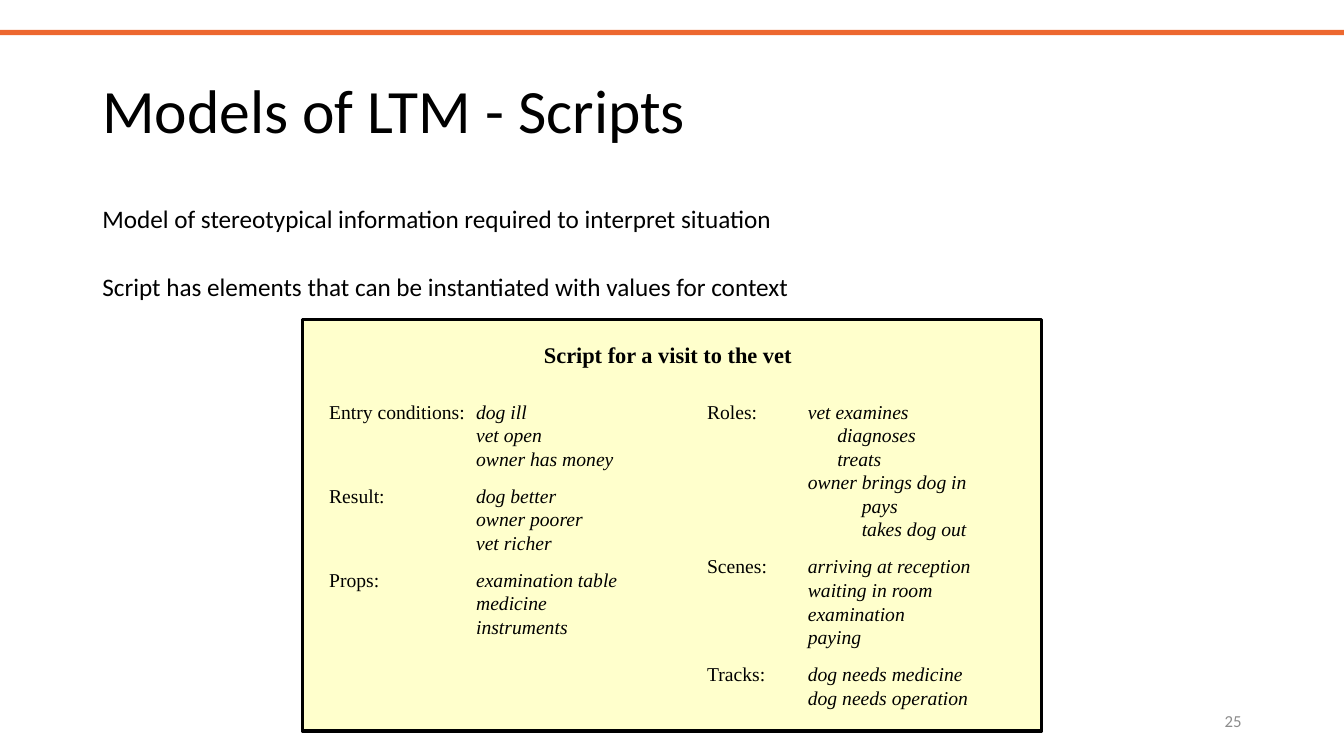
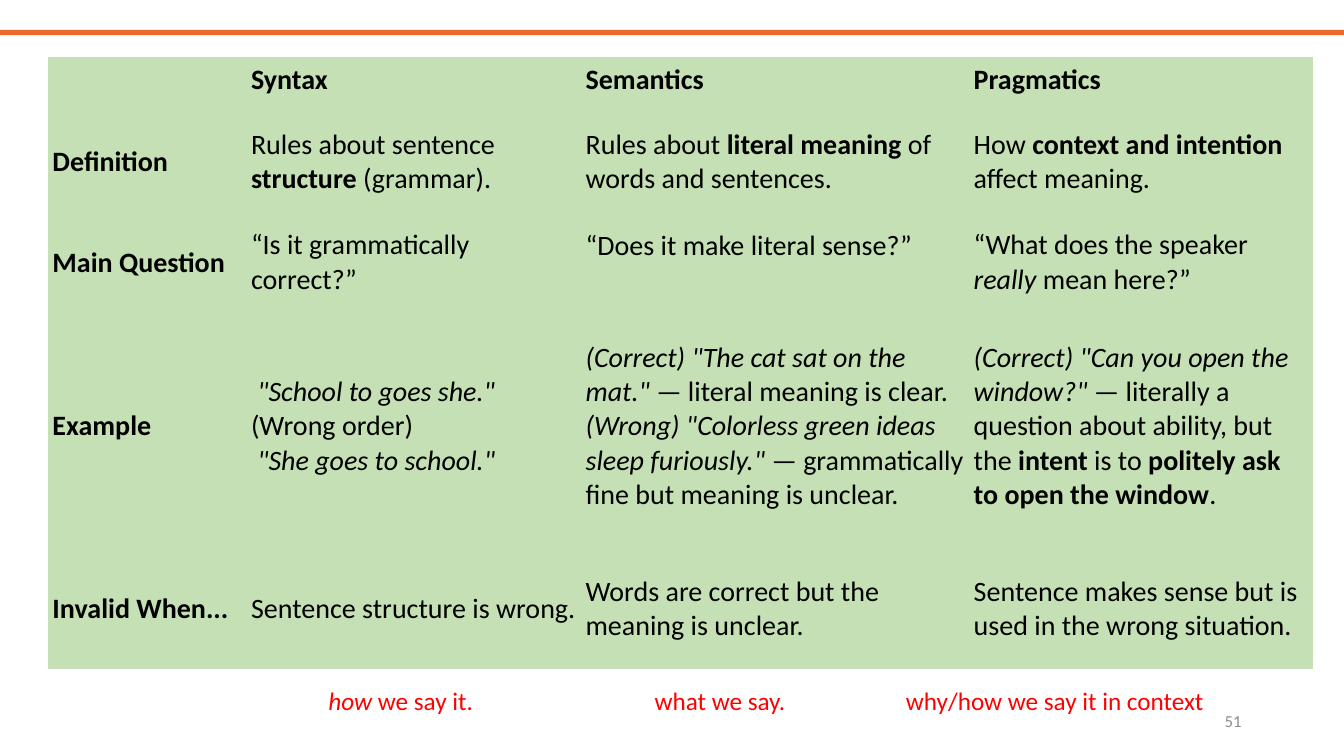
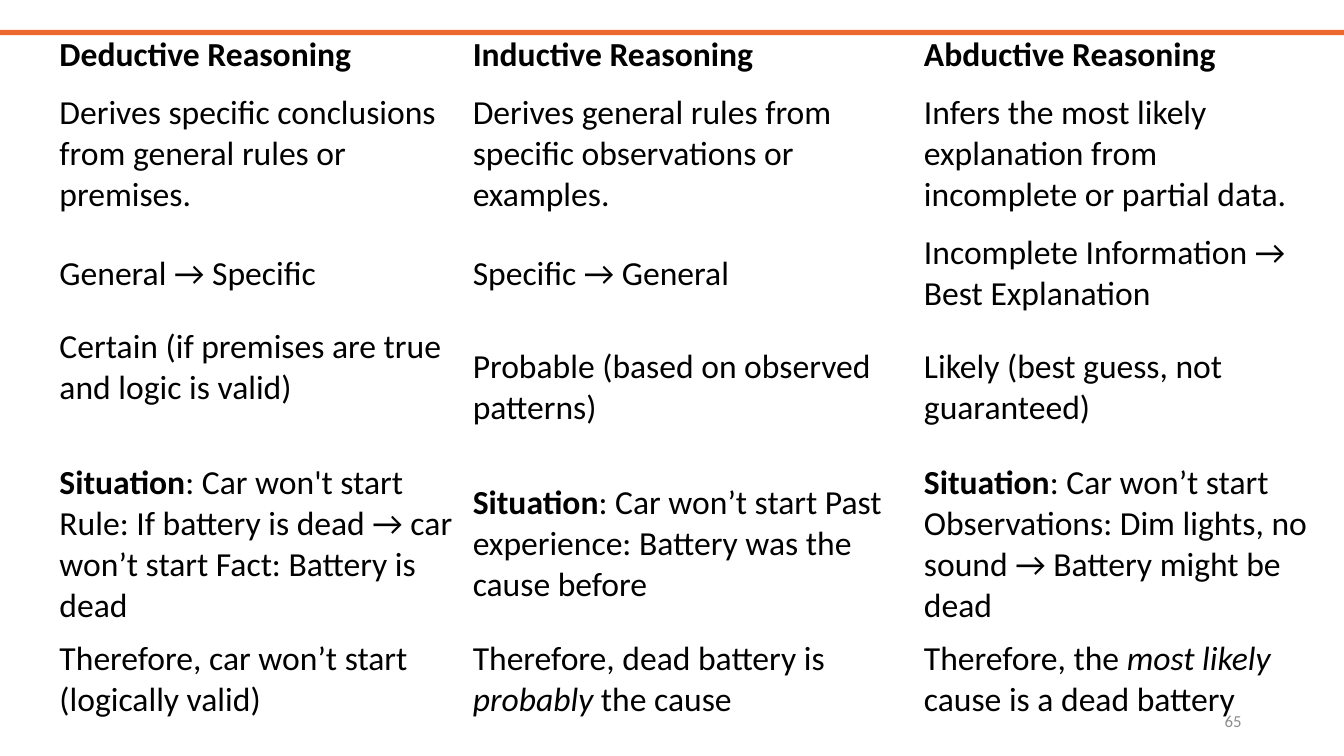
from dataclasses import dataclass
from typing import Optional, Sequence

from lxml.etree import SubElement
from pptx import Presentation
from pptx.dml.color import RGBColor
from pptx.enum.shapes import MSO_SHAPE
from pptx.enum.text import MSO_ANCHOR, PP_ALIGN
from pptx.oxml.ns import qn
from pptx.util import Pt

SANS, SERIF = "Calibri", "Times New Roman"
BLACK, GREY, RED = "000000", "8C8C8C", "FF0000"
ORANGE, CREAM, GREEN = "ED682F", "FFFFCC", "C5E0B4"
PLAIN_TABLE = "{2D5ABB26-0587-4C30-8999-92F81FD0307C}"


@dataclass(frozen=True)
class Run:
    text: str
    bold: bool = False
    italic: bool = False


@dataclass(frozen=True)
class Para:
    runs: Sequence[Run]
    before: float = 0
    indent: float = 0
    tabs: Sequence[float] = ()


@dataclass(frozen=True)
class Style:
    size: float
    font: str = SANS
    color: str = BLACK
    align: Optional[PP_ALIGN] = None
    spacing: Optional[float] = None


@dataclass(frozen=True)
class Box:
    x: float
    y: float
    w: float
    h: float

    def lengths(self) -> tuple:
        return Pt(self.x), Pt(self.y), Pt(self.w), Pt(self.h)


@dataclass(frozen=True)
class Cell:
    paras: Sequence[Para] = ()
    pad_below: float = 0


@dataclass(frozen=True)
class Grid:
    box: Box
    cols: Sequence[float]
    rows: Sequence[float]
    cells: Sequence[Sequence[Cell]]
    size: float
    margin_x: float
    margin_y: float
    fill: Optional[str] = None


@dataclass(frozen=True)
class Item:
    text: str
    indent: float = 0


@dataclass(frozen=True)
class Slot:
    label: str
    items: Sequence[Item]


def rgb(color: str) -> RGBColor:
    return RGBColor.from_string(color)


def b(text: str) -> Run:
    return Run(text, bold=True)


def i(text: str) -> Run:
    return Run(text, italic=True)


def para(*parts, **kw) -> Para:
    return Para([Run(part) if isinstance(part, str) else part for part in parts], **kw)


def cell(*parts, pad_below: float = 0) -> Cell:
    return Cell([para(*parts)], pad_below)


def write(tf, paras: Sequence[Para], style: Style) -> None:
    for n, item in enumerate(paras):
        p = tf.add_paragraph() if n else tf.paragraphs[0]
        if style.align is not None:
            p.alignment = style.align
        if style.spacing:
            p.line_spacing = style.spacing
        if item.before:
            p.space_before = Pt(item.before)
        pPr = p._p.get_or_add_pPr()
        if item.indent:
            pPr.set("indent", str(Pt(item.indent)))
        if item.tabs:
            tabs = SubElement(pPr, qn("a:tabLst"))
            for pos in item.tabs:
                SubElement(tabs, qn("a:tab"), pos=str(Pt(pos)), algn="l")
        for part in item.runs:
            r = p.add_run()
            r.text = part.text
            r.font.name = style.font
            r.font.size = Pt(style.size)
            r.font.bold = part.bold
            r.font.italic = part.italic
            r.font.color.rgb = rgb(style.color)


def add_text(s, box: Box, paras: Sequence[Para], style: Style,
             anchor: MSO_ANCHOR = MSO_ANCHOR.TOP) -> None:
    tf = s.shapes.add_textbox(*box.lengths()).text_frame
    tf.word_wrap = True
    tf.vertical_anchor = anchor
    write(tf, paras, style)


def add_rect(s, box: Box, fill: str, line: Optional[str] = None, width: float = 0) -> None:
    sp = s.shapes.add_shape(MSO_SHAPE.RECTANGLE, *box.lengths())
    sp.shadow.inherit = False
    sp.fill.solid()
    sp.fill.fore_color.rgb = rgb(fill)
    if line:
        sp.line.color.rgb = rgb(line)
        sp.line.width = Pt(width)
    else:
        sp.line.fill.background()


def add_grid(s, grid: Grid) -> None:
    frame = s.shapes.add_table(len(grid.rows), len(grid.cols), *grid.box.lengths())
    table = frame.table
    table.first_row = table.horz_banding = False
    table._tbl.tblPr.find(qn("a:tableStyleId")).text = PLAIN_TABLE
    for col, width in zip(table.columns, grid.cols):
        col.width = Pt(width)
    for row, height, cells in zip(table.rows, grid.rows, grid.cells):
        row.height = Pt(height)
        for tc, content in zip(row.cells, cells):
            tc.margin_left = tc.margin_right = Pt(grid.margin_x)
            tc.margin_top = Pt(grid.margin_y)
            tc.margin_bottom = Pt(grid.margin_y + content.pad_below)
            tc.vertical_anchor = MSO_ANCHOR.MIDDLE
            if grid.fill:
                tc.fill.solid()
                tc.fill.fore_color.rgb = rgb(grid.fill)
            else:
                tc.fill.background()
            write(tc.text_frame, content.paras, Style(grid.size))


def slot_paras(slots: Sequence[Slot], tab: float) -> list:
    paras = []
    for slot in slots:
        for n, item in enumerate(slot.items):
            label = "" if n else slot.label
            before = 9.6 if paras and not n else 0
            paras.append(para(label + "\t", i(item.text), before=before,
                              tabs=[tab + item.indent]))
    return paras


def new_slide(prs, number: int):
    s = prs.slides.add_slide(prs.slide_layouts[6])
    add_rect(s, Box(0, 21.4, 960, 3.8), ORANGE)
    add_text(s, Box(678, 500.5, 216, 28.8), [para(str(number))],
             Style(12, color=GREY, align=PP_ALIGN.RIGHT), MSO_ANCHOR.MIDDLE)
    return s


def scripts_slide(prs) -> None:
    s = new_slide(prs, 25)
    add_text(s, Box(66, 28.8, 828, 104.4), [para("Models of LTM - Scripts")],
             Style(44, spacing=0.9), MSO_ANCHOR.MIDDLE)
    add_text(s, Box(66, 144, 793, 80), [
        para("Model of stereotypical information required to interpret situation"),
        para("Script has elements that can be instantiated with values for context", before=29),
    ], Style(18, spacing=0.9))
    add_rect(s, Box(216, 228.2, 528, 294), CREAM, BLACK, 2.25)
    add_text(s, Box(378, 240, 198, 26.6), [para(b("Script for a visit to the vet"))],
             Style(16, SERIF, align=PP_ALIGN.CENTER))
    left = [
        Slot("Entry conditions:", [Item("dog ill"), Item("vet open"), Item("owner has money")]),
        Slot("Result:", [Item("dog better"), Item("owner poorer"), Item("vet richer")]),
        Slot("Props:", [Item("examination table"), Item("medicine"), Item("instruments")]),
    ]
    right = [
        Slot("Roles:", [Item("vet examines"), Item("diagnoses", 21), Item("treats", 21),
                        Item("owner brings dog in"), Item("pays", 38.5),
                        Item("takes dog out", 38.5)]),
        Slot("Scenes:", [Item("arriving at reception"), Item("waiting in room"),
                         Item("examination"), Item("paying")]),
        Slot("Tracks:", [Item("dog needs medicine"), Item("dog needs operation")]),
    ]
    style = Style(14, SERIF)
    add_text(s, Box(228, 282, 234, 179), slot_paras(left, 105), style)
    add_text(s, Box(498, 282, 204.5, 230), slot_paras(right, 72), style)


def language_slide(prs) -> None:
    s = new_slide(prs, 51)
    cells = [
        [Cell(), cell(b("Syntax")), cell(b("Semantics")), cell(b("Pragmatics"))],
        [cell(b("Definition")),
         cell("Rules about sentence ", b("structure"), " (grammar)."),
         cell("Rules about ", b("literal meaning"), " of words and sentences."),
         cell("How ", b("context and intention"), " affect meaning.")],
        [cell(b("Main Question")),
         cell("“Is it grammatically correct?”"),
         cell("“Does it make literal sense?”", pad_below=24.4),
         cell("“What does the speaker ", i("really"), " mean here?”")],
        [cell(b("Example")),
         Cell([para(i('"School to goes she."'), " (Wrong order)", indent=4.5),
               para(i('"She goes to school."'), indent=4.5)]),
         Cell([para(i('(Correct) "The cat sat on the mat."'), " — literal meaning is clear."),
               para(i('(Wrong) "Colorless green ideas sleep furiously."'),
                    " — grammatically fine but meaning is unclear.")]),
         cell(i('(Correct) "Can you open the window?"'),
              " — literally a question about ability, but the ", b("intent"),
              " is to ", b("politely ask to open the window"), ".")],
        [cell(b("Invalid When...")),
         cell("Sentence structure is wrong."),
         cell("Words are correct but the meaning is unclear."),
         cell("Sentence makes sense but is used in the wrong situation.")],
    ]
    add_grid(s, Grid(Box(34, 41, 903.6, 437.6), [141.84, 239.04, 277.2, 245.52],
                     [31.7, 85.7, 58.3, 175.7, 85.7], cells, 20, 3.5, 1.5, GREEN))
    add_text(s, Box(227.5, 486, 650, 29), [
        para(i("how"), " we say it.\twhat we say.\twhy/how we say it in context",
             tabs=[233, 412.5])], Style(18, color=RED))


def reasoning_slide(prs) -> None:
    s = new_slide(prs, 65)
    cells = [
        [cell(b(f"{kind} Reasoning")) for kind in ("Deductive", "Inductive", "Abductive")],
        [cell("Derives specific conclusions from general rules or premises."),
         cell("Derives general rules from specific observations or examples."),
         cell("Infers the most likely explanation from incomplete or partial data.")],
        [cell("General → Specific"), cell("Specific → General"),
         cell("Incomplete Information → Best Explanation")],
        [cell("Certain (if premises are true and logic is valid)", pad_below=29.3),
         cell("Probable (based on observed patterns)"),
         cell("Likely (best guess, not guaranteed)")],
        [cell(b("Situation"), text) for text in (
            ": Car won't start Rule: If battery is dead → car won’t start Fact: Battery is dead",
            ": Car won’t start Past experience: Battery was the cause before",
            ": Car won’t start Observations: Dim lights, no sound → Battery might be dead")],
        [cell("Therefore, car won’t start (logically valid)"),
         cell("Therefore, dead battery is ", i("probably"), " the cause"),
         cell("Therefore, the ", i("most likely"), " cause is a dead battery")],
    ]
    add_grid(s, Grid(Box(36.7, 20.9, 906.5, 498), [295.2, 322.3, 289],
                     [36.7, 105.1, 66.2, 96.5, 126.7, 66.2], cells, 24, 5.8, 2.9))


def main() -> None:
    prs = Presentation()
    prs.slide_width, prs.slide_height = Pt(960), Pt(540)
    for build in (scripts_slide, language_slide, reasoning_slide):
        build(prs)
    prs.save("out.pptx")


if __name__ == "__main__":
    main()
